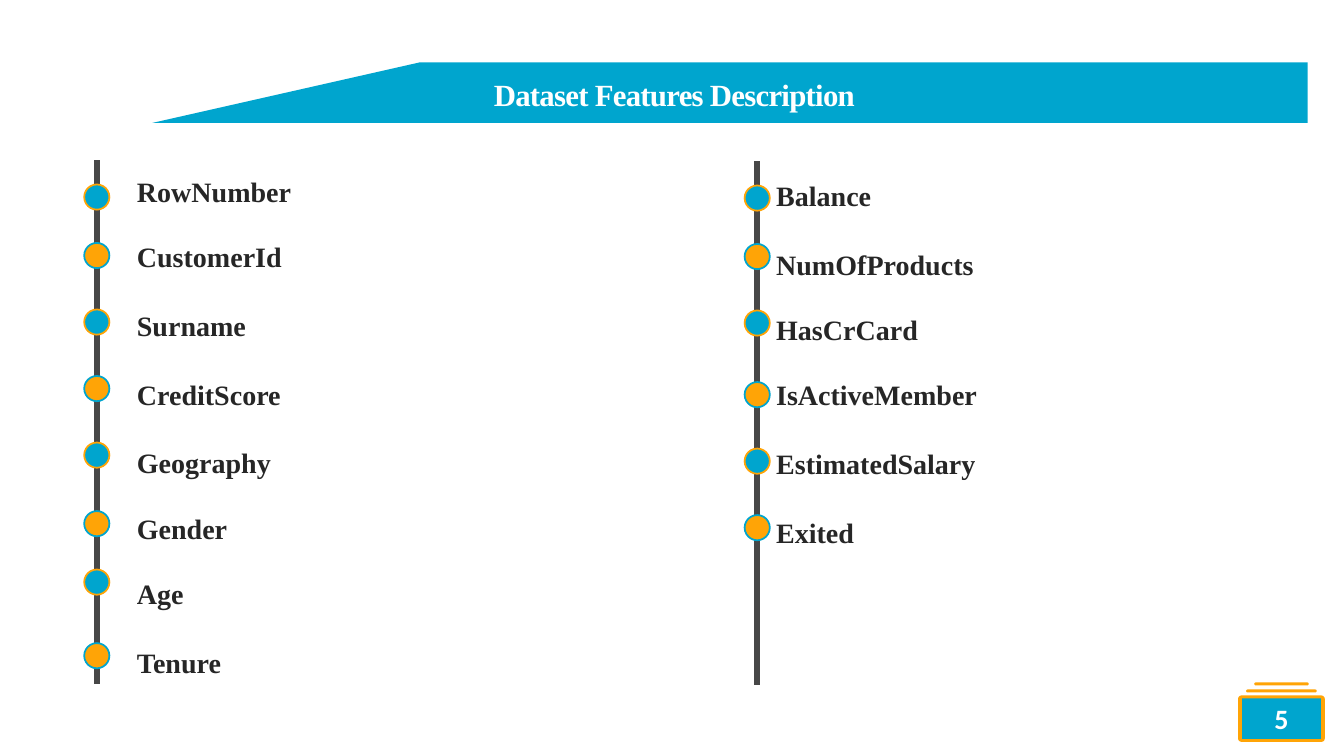
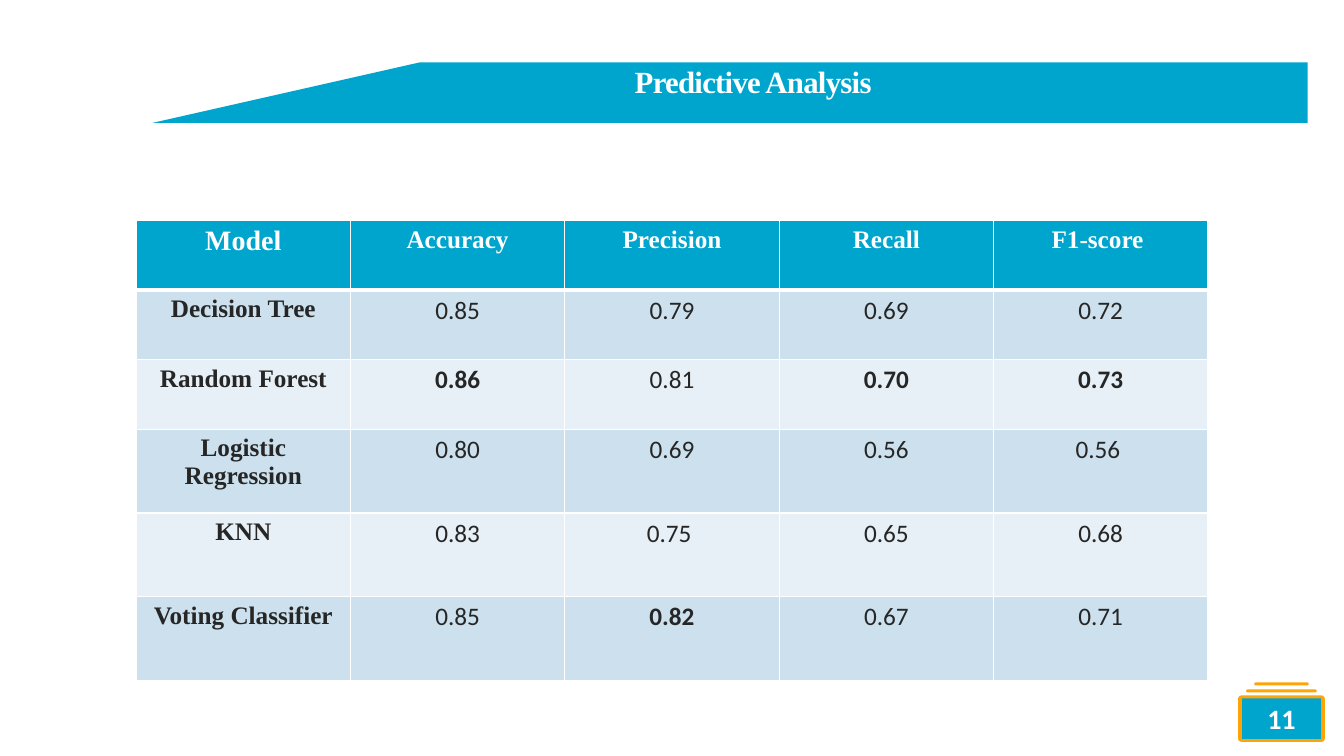
"""Build two slides: a list of dataset features and a table of model scores."""
from lxml import etree
from pptx import Presentation
from pptx.dml.color import RGBColor
from pptx.enum.shapes import MSO_CONNECTOR, MSO_SHAPE
from pptx.enum.text import MSO_ANCHOR, PP_ALIGN
from pptx.oxml.ns import qn
from pptx.util import Inches, Pt

LINE = MSO_CONNECTOR.STRAIGHT
OVAL, RECT, ROUND = MSO_SHAPE.OVAL, MSO_SHAPE.RECTANGLE, MSO_SHAPE.ROUNDED_RECTANGLE
LEFT, CENTER, MIDDLE = PP_ALIGN.LEFT, PP_ALIGN.CENTER, MSO_ANCHOR.MIDDLE

BLUE, ORANGE, GREY, INK, WHITE = "00A5CE", "FFA406", "474747", "262626", "FFFFFF"
BANDS = "CCE1ED", "E7F0F6"
SERIF, SANS = "Times New Roman", "Calibri"

BAND = [(12.97, 1.22), (1.51, 1.22), (4.16, 0.62), (12.97, 0.62)]
BADGE = [
    (ROUND, 12.44, 6.77, 0.54, 0.03, ORANGE, 0.5),
    (ROUND, 12.36, 6.84, 0.7, 0.03, ORANGE, 0.5),
    (ROUND, 12.28, 6.9, 0.86, 0.46, ORANGE, 0.07),
    (RECT, 12.32, 6.93, 0.78, 0.4, BLUE, None),
]

TIGHT, LOOSE = 22.7, 25.1
DOT = 0.25
LISTS = [
    {"axis": 0.96, "top": 1.59, "text": (1.26, 1.68), "items": [
        ("RowNumber", 1.83, TIGHT), ("CustomerId", 2.41, LOOSE),
        ("Surname", 3.07, LOOSE), ("CreditScore", 3.73, LOOSE),
        ("Geography", 4.39, TIGHT), ("Gender", 5.07, TIGHT),
        ("Age", 5.65, LOOSE), ("Tenure", 6.38, 0)]},
    {"axis": 7.51, "top": 1.6, "text": (7.6, 1.72), "items": [
        ("Balance", 1.84, LOOSE), ("NumOfProducts", 2.42, TIGHT),
        ("HasCrCard", 3.08, TIGHT), ("IsActiveMember", 3.79, LOOSE),
        ("EstimatedSalary", 4.45, LOOSE), ("Exited", 5.11, 0)]},
]

HEAD = ["Model", "Accuracy", "Precision", "Recall", "F1-score "]
SCORES = [
    ["Decision Tree", "0.85", "0.79", "0.69", "0.72"],
    ["Random Forest", "0.86", "0.81", "0.70", "0.73"],
    ["Logistic Regression", "0.80", "0.69", "0.56", "0.56 "],
    ["KNN", "0.83", "0.75 ", "0.65", "0.68"],
    ["Voting Classifier", "0.85", "0.82", "0.67", "0.71"],
]
ROWS = [0.69] * 3 + [0.83] * 3


def color(code):
    """Turn a hex string into a colour."""
    return RGBColor.from_string(code)


def paint(shape, fill, line=None):
    """Give a shape a flat fill and an optional thin outline."""
    shape.shadow.inherit = False
    shape.fill.solid()
    shape.fill.fore_color.rgb = color(fill)
    if line:
        shape.line.color.rgb = color(line)
        shape.line.width = Pt(1.25)
    else:
        shape.line.fill.background()


def style(para, size, face=SERIF, ink=WHITE, bold=True, align=CENTER):
    """Set the font and alignment of a paragraph."""
    font = para.font
    font.size, font.name, font.bold = Pt(size), face, bold
    font.color.rgb = color(ink)
    para.alignment = align


def add_box(slide, x, y, w, h):
    """Add a wrapping text box and return its frame."""
    frame = slide.shapes.add_textbox(*map(Inches, (x, y, w, h))).text_frame
    frame.word_wrap = True
    return frame


def add_base(deck, title, place, align, number):
    """Add a slide with its band, title and page badge."""
    slide = deck.slides.add_slide(deck.slide_layouts[6])
    points = [(Inches(x), Inches(y)) for x, y in BAND]
    form = slide.shapes.build_freeform(*points[0])
    form.add_line_segments(points[1:], close=True)
    paint(form.convert_to_shape(), BLUE)

    para = add_box(slide, *place).paragraphs[0]
    run = para.add_run()
    run.text = title
    run._r.get_or_add_rPr().set("spc", "-50")
    style(para, 22, align=align)
    para.line_spacing = 0.85

    for kind, x, y, w, h, fill, curve in BADGE:
        part = slide.shapes.add_shape(kind, *map(Inches, (x, y, w, h)))
        paint(part, fill)
        if curve:
            part.adjustments[0] = curve
    frame = part.text_frame
    frame.text = str(number)
    frame.vertical_anchor = MIDDLE
    style(frame.paragraphs[0], 20, SANS)
    return slide


def add_list(slide, axis, top, text, items):
    """Add a vertical line with dots and a label for each item."""
    x = Inches(axis)
    line = slide.shapes.add_connector(LINE, x, Inches(top), x, Inches(top + 5.2))
    line.line.color.rgb = color(GREY)
    line.line.width = Pt(4.5)
    etree.SubElement(line._element.spPr, qn("a:effectLst"))

    frame = add_box(slide, *text, 5.5, 5.05)
    for i, (name, y, gap) in enumerate(items):
        place = map(Inches, (axis - DOT / 2, y, DOT, DOT))
        pair = (ORANGE, BLUE) if i % 2 else (BLUE, ORANGE)
        paint(slide.shapes.add_shape(OVAL, *place), *pair)
        para = frame.add_paragraph() if i else frame.paragraphs[0]
        para.text = name
        para.space_after = Pt(gap)
        style(para, 20, ink=INK, align=LEFT)


def add_edges(cell, base):
    """Draw white borders round a cell, with its bottom width in points."""
    props = cell._tc.get_or_add_tcPr()
    for side, width in zip("LRTB", (1, 1, 1, base)):
        edge = etree.SubElement(props, qn(f"a:ln{side}"), w=str(Pt(width)))
        fill = etree.SubElement(edge, qn("a:solidFill"))
        etree.SubElement(fill, qn("a:srgbClr"), val=WHITE)


def add_scores(slide):
    """Add the score table, with the best score of each column in bold."""
    place = map(Inches, (1.35, 2.19, 10.63, sum(ROWS)))
    table = slide.shapes.add_table(len(ROWS), len(HEAD), *place).table
    for row, high in zip(table.rows, ROWS):
        row.height = Inches(high)
    best = [max(col) for col in zip(*SCORES)]
    for r, texts in enumerate([HEAD] + SCORES):
        for c, text in enumerate(texts):
            cell = table.cell(r, c)
            add_edges(cell, 1 if r else 3)
            cell.fill.solid()
            cell.fill.fore_color.rgb = color(BANDS[(r - 1) % 2] if r else BLUE)
            cell.text = text
            label = r == 0 or c == 0
            style(cell.text_frame.paragraphs[0], 18 if r or c else 20,
                  SERIF if label else SANS, INK if r else WHITE,
                  label or text == best[c])


def main():
    """Build and save the deck."""
    deck = Presentation()
    deck.slide_width, deck.slide_height = Inches(13.33), Inches(7.5)
    slide = add_base(deck, "Dataset Features Description",
                     (4.8, 0.76, 4.67, 0.5), LEFT, 5)
    for part in LISTS:
        add_list(slide, **part)
    add_scores(add_base(deck, "Predictive Analysis",
                        (1.97, 0.63, 11, 0.55), CENTER, 11))
    deck.save("out.pptx")


if __name__ == "__main__":
    main()
